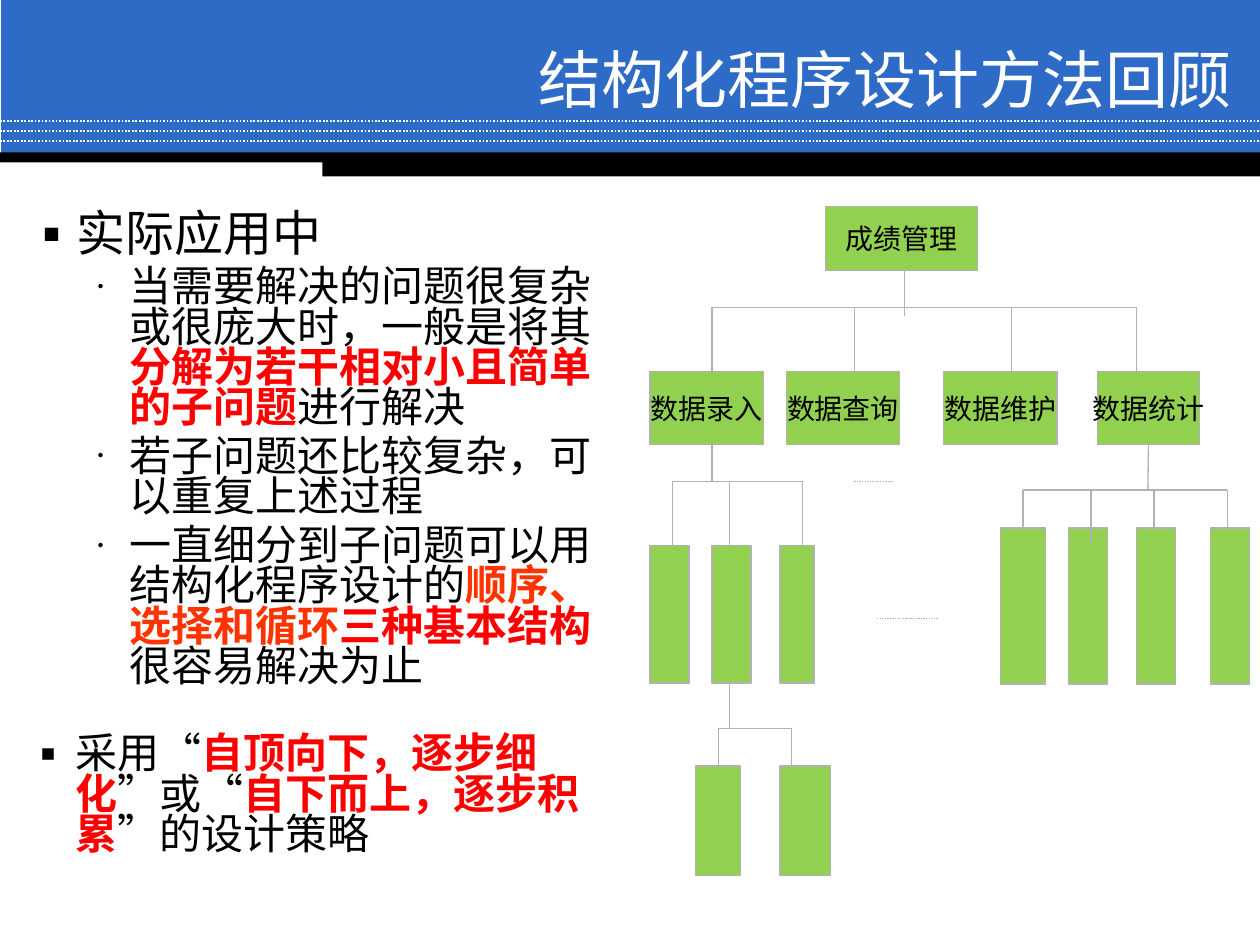
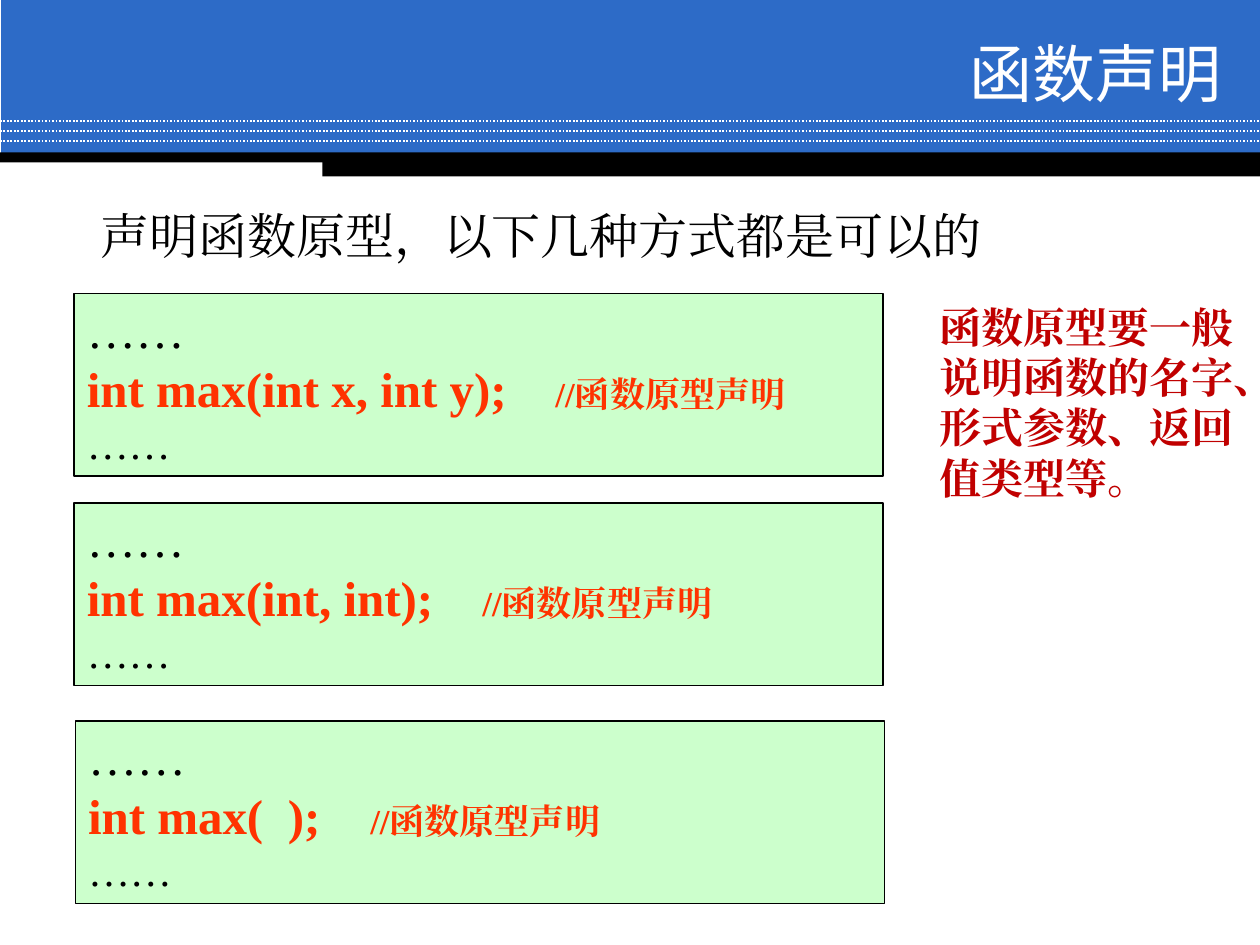
from lxml.etree import SubElement
from pptx import Presentation
from pptx.dml.color import RGBColor
from pptx.enum.dml import MSO_LINE_DASH_STYLE as Dash
from pptx.enum.shapes import MSO_CONNECTOR as Connector, MSO_SHAPE as Shape
from pptx.enum.text import MSO_ANCHOR as Anchor, PP_ALIGN as Align
from pptx.oxml.ns import qn
from pptx.util import Inches, Pt

COLORS = {
    "band": "2D6BC7", "white": "FFFFFF", "black": "000000", "node": "92D050",
    "rule": "B2B2B2", "red": "FF0000", "orange": "FF3300", "code": "CCFFCC",
    "note": "C00000",
}
SANS, SERIF = "Noto Sans CJK SC", "Times New Roman"
TOP, BOTTOM = 0, 2

# Bands shared by both slides: left, top, width, height, colour
BANDS = [
    (0.01, 0, 9.99, 1.23, "band"),
    (0, 1.21, 10, 0.08, "black"),
    (2.56, 1.24, 7.44, 0.16, "black"),
]
DOTTED_ROWS = (0.96, 1.04, 1.12)
TITLES = [("结构化程序设计方法回顾", 2.95, 0.33), ("函数声明", 2.87, 0.28)]

# Outline: level, size, space before, spans of (text, colour, bold)
OUTLINE = [
    (0, 28, 0, [("实际应用中", "black", False)]),
    (1, 24, 5, [("当需要解决的问题很复杂或很庞大时，一般是将其", "black", False),
                ("分解为若干相对小且简单的子问题", "red", True),
                ("进行解决", "black", False)]),
    (1, 24, 5, [("若子问题还比较复杂，可以重复上述过程", "black", False)]),
    (1, 24, 5, [("一直细分到子问题可以用结构化程序设计的", "black", False),
                ("顺序、选择和循环", "orange", True),
                ("三种基本结构", "red", True),
                ("很容易解决为止", "black", False)]),
    (0, 24, 27, [("采用“", "black", False),
                 ("自顶向下，逐步细化", "red", True),
                 ("”或“", "black", False),
                 ("自下而上，逐步积累", "red", True),
                 ("”的设计策略", "black", False)]),
]
# Per level: left margin, hanging indent, bullet, bullet size in percent
LEVELS = [(0.38, -0.38, "▪", 100), (0.81, -0.31, "•", 50)]

# Tree rows: top, height, nodes of (left, width, label)
TREE_ROWS = [
    (1.64, 0.51, [(6.55, 1.21, "成绩管理")]),
    (2.95, 0.58, [(5.16, 0.9, "数据录入"), (6.24, 0.9, "数据查询"),
                  (7.49, 0.9, "数据维护"), (8.71, 0.81, "数据统计")]),
    (4.33, 1.09, [(5.16, 0.31, ""), (5.65, 0.31, ""), (6.19, 0.27, "")]),
    (4.19, 1.24, [(7.94, 0.36, ""), (8.48, 0.31, ""), (9.02, 0.31, ""),
                  (9.61, 0.31, "")]),
    (6.08, 0.87, [(5.52, 0.36, ""), (6.19, 0.4, "")]),
]
# Branches: trunk x, trunk top, trunk bottom, rail y, drops of (x, bottom)
BRANCHES = [
    (7.18, 2.15, 2.51, 2.44, [(x, 2.95) for x in (5.65, 6.78, 8.03, 9.02)]),
    (5.65, 3.53, 3.82, 3.82, [(x, 4.33) for x in (5.34, 5.79, 6.37)]),
    (9.11, 3.53, 3.89, 3.89, [(8.12, 4.19), (8.66, 4.33), (9.16, 4.19),
                              (9.74, 4.19)]),
    (5.79, 5.42, 5.78, 5.78, [(x, 6.08) for x in (5.7, 6.28)]),
]
ELLIPSES = [(6.78, 7.09, 3.82), (6.96, 7.45, 4.91)]

PROTOTYPE_INTRO = "声明函数原型，以下几种方式都是可以的"
PROTOTYPE_NOTE = "函数原型要一般说明函数的名字、形式参数、返回值类型等。"
COMMENT = "//函数原型声明"
# Prototypes: left, top, code, tab stop of the comment
PROTOTYPES = [
    (0.59, 2.33, "int max(int x, int y);", 3.72),
    (0.59, 3.99, "int max(int, int);", 3.14),
    (0.6, 5.72, "int max(  );", 2.24),
]


def color(name):
    return RGBColor.from_string(COLORS[name])


def add_rect(page, place, fill, line=None, weight=0.75):
    rect = page.shapes.add_shape(Shape.RECTANGLE, *map(Inches, place))
    rect.shadow.inherit = False
    rect.fill.solid()
    rect.fill.fore_color.rgb = color(fill)
    if line:
        rect.line.color.rgb = color(line)
        rect.line.width = Pt(weight)
    else:
        rect.line.fill.background()
    return rect


def add_rule(page, start, end, line="rule", weight=0.75, dash=None):
    rule = page.shapes.add_connector(
        Connector.STRAIGHT, *map(Inches, (*start, *end)))
    rule.line.color.rgb = color(line)
    rule.line.width = Pt(weight)
    if dash:
        rule.line.dash_style = dash
    SubElement(rule._element.spPr, qn("a:effectLst"))
    return rule


def add_box(page, place):
    box = page.shapes.add_textbox(*map(Inches, place))
    box.text_frame.word_wrap = True
    return box


def next_para(frame):
    """Return the empty first paragraph, or a new one after the others."""
    first = frame.paragraphs[0]
    return frame.add_paragraph() if first.runs else first


def add_span(para, text, size, ink="black", bold=False, face=SANS):
    span = para.add_run()
    span.text = text
    for name, value in {"size": Pt(size), "bold": bold, "name": face}.items():
        setattr(span.font, name, value)
    span.font.color.rgb = color(ink)
    SubElement(span._r.get_or_add_rPr(), qn("a:ea"), typeface=face)


def set_bullet(para, level):
    margin, indent, mark, percent = LEVELS[level]
    props = para._p.get_or_add_pPr()
    props.set("marL", str(Inches(margin)))
    props.set("indent", str(Inches(indent)))
    SubElement(props, qn("a:buSzPct"), val=str(percent * 1000))
    SubElement(props, qn("a:buFont"), typeface=SANS)
    SubElement(props, qn("a:buChar"), char=mark)


def set_tab(para, stop):
    tabs = SubElement(para._p.get_or_add_pPr(), qn("a:tabLst"))
    SubElement(tabs, qn("a:tab"), pos=str(Inches(stop)), algn="l")


def add_page(deck, title, left, top):
    page = deck.slides.add_slide(deck.slide_layouts[6])
    for *place, fill in BANDS:
        add_rect(page, place, fill)
    for y in DOTTED_ROWS:
        add_rule(page, (0, y), (10, y), "white", 1, Dash.ROUND_DOT)
    box = add_box(page, (left, top, 6.92, 0.58))
    box.text_frame.vertical_anchor = Anchor.MIDDLE
    para = box.text_frame.paragraphs[0]
    para.alignment = Align.RIGHT
    add_span(para, title, 36, "white")
    return page


def add_outline(page):
    frame = add_box(page, (0.12, 1.65, 4.96, 5.36)).text_frame
    for level, size, gap, spans in OUTLINE:
        para = next_para(frame)
        set_bullet(para, level)
        para.level = level
        para.line_spacing = Pt(27 if size == 28 else 23)
        para.space_before = Pt(gap)
        for text, ink, bold in spans:
            add_span(para, text, size, ink, bold)


def glue(connect, nodes, x, y, side):
    """Join a line end to the node whose side has its middle there."""
    for (left, top, width, height), node in nodes:
        edge = top if side == TOP else top + height
        if abs(left + width / 2 - x) < 0.01 and abs(edge - y) < 0.01:
            connect(node, side)


def add_tree(page):
    nodes = []
    for top, height, row in TREE_ROWS:
        for left, width, label in row:
            place = (left, top, width, height)
            node = add_rect(page, place, "node", "rule")
            nodes.append((place, node))
            if label:
                frame = node.text_frame
                frame.word_wrap = False
                frame.vertical_anchor = Anchor.MIDDLE
                frame.paragraphs[0].alignment = Align.CENTER
                add_span(frame.paragraphs[0], label, 16)
    for x, top, bottom, rail, drops in BRANCHES:
        trunk = add_rule(page, (x, top), (x, bottom))
        glue(trunk.begin_connect, nodes, x, top, BOTTOM)
        add_rule(page, (drops[0][0], rail), (drops[-1][0], rail))
        for drop_x, drop_end in drops:
            drop = add_rule(page, (drop_x, rail), (drop_x, drop_end))
            glue(drop.end_connect, nodes, drop_x, drop_end, TOP)
    for left, right, y in ELLIPSES:
        add_rule(page, (left, y), (right, y), dash=Dash.ROUND_DOT)


def add_serif_line(frame, size, *spans):
    """Add a paragraph of (text, size, colour, bold) spans, 1.2 em high."""
    para = next_para(frame)
    para.alignment = Align.LEFT
    para.line_spacing = Pt(size * 1.2)
    for span in spans:
        add_span(para, *span, face=SERIF)
    return para


def add_prototypes(page):
    intro = add_box(page, (0.7, 1.58, 9.3, 0.63)).text_frame
    add_serif_line(intro, 28, (PROTOTYPE_INTRO, 28))
    for left, top, code, stop in PROTOTYPES:
        panel = add_rect(page, (left, top, 6.42, 1.45), "code", "black", 1)
        frame = panel.text_frame
        frame.word_wrap = True
        frame.vertical_anchor = Anchor.TOP
        add_serif_line(frame, 28, ("……", 28))
        para = add_serif_line(frame, 28, (code + "\t", 28, "orange", True),
                              (COMMENT, 20, "orange", True))
        set_tab(para, stop)
        add_serif_line(frame, 24, ("……", 24))
    note = add_box(page, (7.36, 2.34, 2.64, 1.72)).text_frame
    note.margin_right = 0
    add_serif_line(note, 24, (PROTOTYPE_NOTE, 24, "note", True))


def main():
    deck = Presentation()
    deck.slide_width, deck.slide_height = Inches(10), Inches(7.5)
    review, declaration = [add_page(deck, *title) for title in TITLES]
    add_outline(review)
    add_tree(review)
    add_prototypes(declaration)
    deck.save("out.pptx")


if __name__ == "__main__":
    main()
